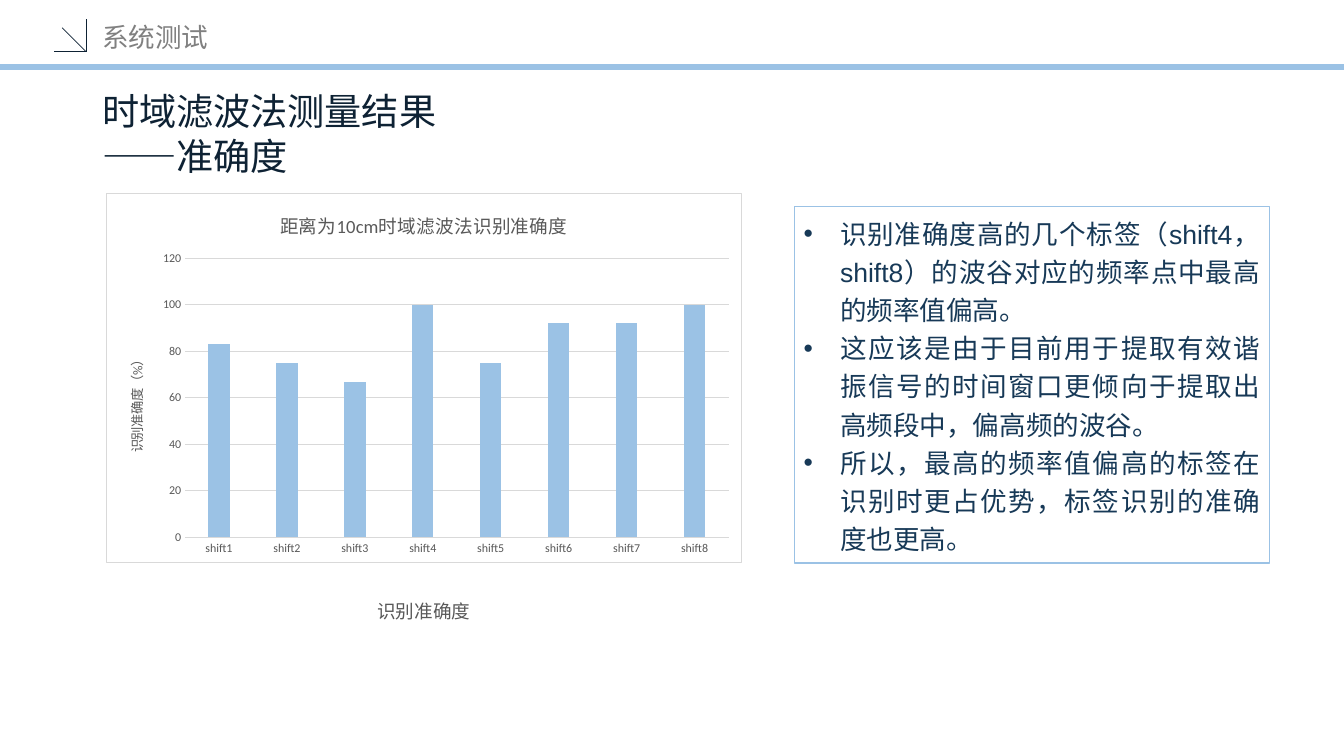
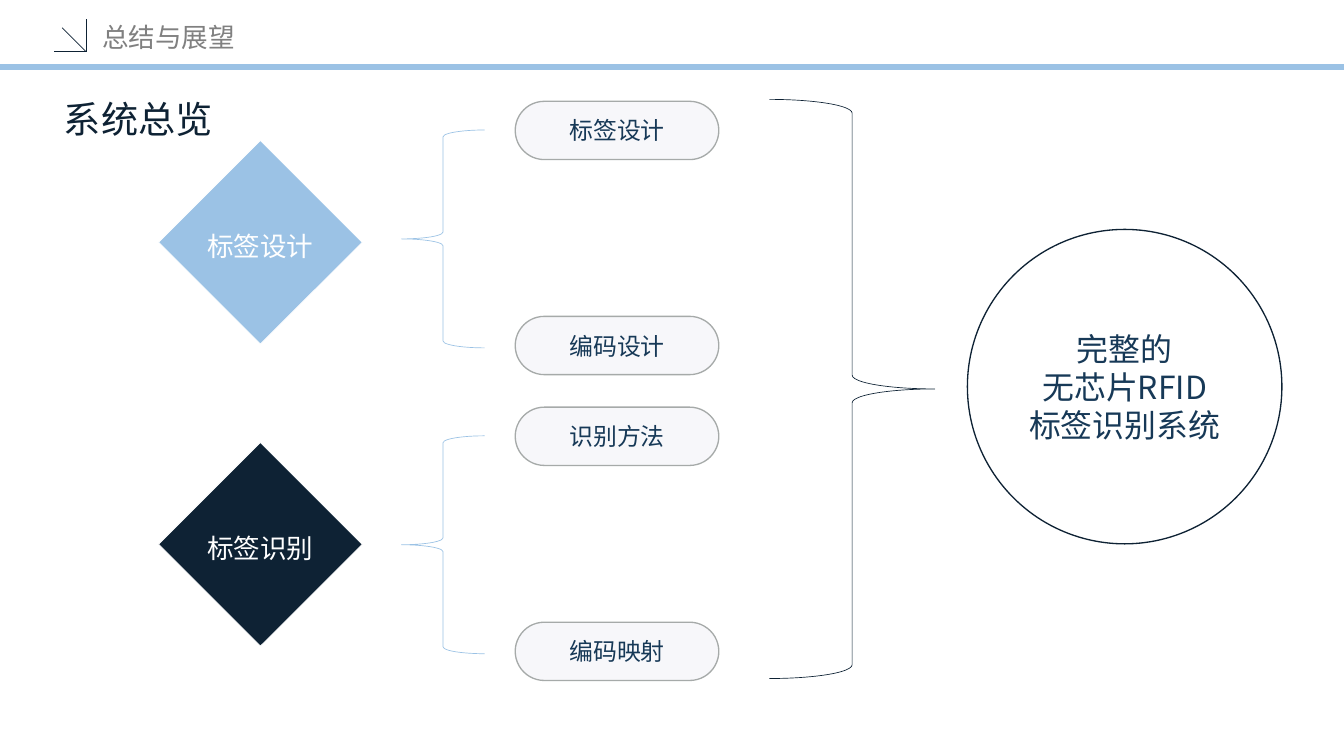
"""Build two slides on chipless tag recognition: a test result and a system overview."""
from lxml import etree
from pptx import Presentation
from pptx import util as u
from pptx.chart import data as chart_data
from pptx.dml import color
from pptx.enum import chart as chart_enum, shapes, text
from pptx.oxml import parse_xml
from pptx.oxml import ns

THEME = {
    "sky": "9BC2E5", "navy": "0E2234", "ink": "173957", "gray": "808080",
    "label": "595959", "grid": "D9D9D9", "pill": "F7F7FA",
    "pill_line": "A6AAA9", "white": "FFFFFF",
    "cjk": "Noto Sans CJK SC", "latin": "Arial", "chart": "Calibri",
}
STYLES = {
    "header": {"size": 20, "name": THEME["cjk"], "color": THEME["gray"]},
    "title": {"size": 28, "name": THEME["cjk"], "color": THEME["navy"]},
    "caption": {"size": 14, "name": THEME["latin"], "color": THEME["label"]},
    "body": {"size": 20, "name": THEME["latin"], "color": THEME["ink"]},
    "diamond": {"size": 20, "name": THEME["latin"], "color": THEME["white"]},
    "pill": {"size": 18, "name": THEME["cjk"], "color": THEME["ink"]},
    "goal": {"size": 24, "name": THEME["cjk"], "color": THEME["ink"]},
    "chart": {"size": 10, "name": THEME["chart"], "color": THEME["label"]},
    "chart_title": {"size": 14, "name": THEME["chart"], "color": THEME["label"]},
    "tick": {"size": 9, "name": THEME["chart"], "color": THEME["label"]},
}

HEADER_LINES = [
    ((0, 0.7), (14.06, 0.7), "sky", 4.5),
    ((0.57, 0.54), (0.9, 0.54), "navy", 0.5),
    ((0.9, 0.54), (0.9, 0.2), "navy", 0.5),
    ((0.9, 0.54), (0.65, 0.29), "navy", 0.5),
]
RESULT = {
    "header": "系统测试",
    "title": ["时域滤波法测量结果", "——准确度"],
    "chart_title": "距离为10cm时域滤波法识别准确度",
    "axis_title": "识别准确度（%）",
    "caption": ["识别准确度"],
    "accuracy": [83, 75, 67, 100, 75, 92, 92, 100],
    "findings": [
        "识别准确度高的几个标签（shift4，shift8）的波谷对应的频率点中最高的频率值偏高。",
        "这应该是由于目前用于提取有效谐振信号的时间窗口更倾向于提取出高频段中，偏高频的波谷。",
        "所以，最高的频率值偏高的标签在识别时更占优势，标签识别的准确度也更高。",
    ],
}
OVERVIEW = {
    "header": "总结与展望",
    "title": ["系统总览"],
    "stages": [
        {"name": "标签设计", "fill": "sky", "top": 1.06, "diamond_top": 1.47,
         "parts": ["标签设计", "编码设计"]},
        {"name": "标签识别", "fill": "navy", "top": 4.26, "diamond_top": 4.63,
         "parts": ["识别方法", "编码映射"]},
    ],
    "goal": ["完整的", "无芯片RFID", "标签识别系统"],
}
PILL_STEP = 2.25


def rgb(name):
    return color.RGBColor.from_string(THEME.get(name, name))


def set_font(font, style):
    values = {"size": u.Pt(style["size"]), "name": style["name"], "bold": False}
    for attribute, value in values.items():
        setattr(font, attribute, value)
    font.color.rgb = rgb(style["color"])


def add_bullet(paragraph):
    properties = paragraph._p.get_or_add_pPr()
    indent = u.Inches(0.38)
    properties.set("marL", str(indent))
    properties.set("indent", str(-indent))
    etree.SubElement(properties, ns.qn("a:buFont"), typeface=THEME["latin"])
    etree.SubElement(properties, ns.qn("a:buChar"), char="•")


def write(shape, lines, style, align="LEFT", anchor="TOP", spacing=None,
          wrap=True, bullets=False):
    frame = shape.text_frame
    frame.word_wrap = wrap
    frame.vertical_anchor = text.MSO_ANCHOR[anchor]
    for index, line in enumerate(lines):
        paragraph = frame.add_paragraph() if index else frame.paragraphs[0]
        if bullets:
            add_bullet(paragraph)
        paragraph.alignment = text.PP_ALIGN[align]
        paragraph.line_spacing = spacing
        run = paragraph.add_run()
        run.text = line
        set_font(run.font, STYLES[style])
        etree.SubElement(run._r.get_or_add_rPr(), ns.qn("a:ea"),
                         typeface=THEME["cjk"])


def add_text(slide, box, lines, style, **layout):
    shape = slide.shapes.add_textbox(*map(u.Inches, box))
    write(shape, lines, style, **layout)


def add_shape(slide, kind, box, fill=None, line=None, width=0.5):
    shape = slide.shapes.add_shape(shapes.MSO_SHAPE[kind], *map(u.Inches, box))
    shape.shadow.inherit = False
    if fill:
        shape.fill.solid()
        shape.fill.fore_color.rgb = rgb(fill)
    else:
        shape.fill.background()
    shape.line.color.rgb = rgb(line)
    shape.line.width = u.Pt(width)
    return shape


def add_slide(presentation, header):
    slide = presentation.slides.add_slide(presentation.slide_layouts[6])
    for start, end, line, width in HEADER_LINES:
        connector = slide.shapes.add_connector(
            shapes.MSO_CONNECTOR.STRAIGHT, *map(u.Inches, start + end))
        connector.line.color.rgb = rgb(line)
        connector.line.width = u.Pt(width)
        etree.SubElement(connector._element.spPr, ns.qn("a:effectLst"))
    add_text(slide, (0.97, 0.15, 3.23, 0.47), [header], "header", anchor="MIDDLE")
    return slide


def set_title(title, content, style):
    title.text_frame.text = content
    set_font(title.text_frame.paragraphs[0].runs[0].font, STYLES[style])


def style_line(line, name):
    line.color.rgb = rgb(name)
    line.width = u.Pt(0.75)


def add_accuracy_chart(slide, box):
    values = RESULT["accuracy"]
    data = chart_data.CategoryChartData()
    data.categories = [f"shift{number}" for number in range(1, len(values) + 1)]
    data.add_series("识别准确度", values)
    chart = slide.shapes.add_chart(
        chart_enum.XL_CHART_TYPE.COLUMN_CLUSTERED, *map(u.Inches, box), data).chart
    set_font(chart.font, STYLES["chart"])
    chart.has_legend = False
    chart.has_title = True
    set_title(chart.chart_title, RESULT["chart_title"], "chart_title")
    chart.chart_title.include_in_layout = False

    plot = chart.plots[0]
    for attribute, value in {"gap_width": 219, "overlap": -27,
                             "vary_by_categories": False}.items():
        setattr(plot, attribute, value)
    series = plot.series[0]
    series.format.fill.solid()
    series.format.fill.fore_color.rgb = rgb("sky")

    category_axis, value_axis = chart.category_axis, chart.value_axis
    for axis in (category_axis, value_axis):
        axis.major_tick_mark = chart_enum.XL_TICK_MARK.NONE
        set_font(axis.tick_labels.font, STYLES["tick"])
    style_line(category_axis.format.line, "grid")
    for attribute, value in {"minimum_scale": 0, "maximum_scale": 120,
                             "major_unit": 20, "has_major_gridlines": True,
                             "has_title": True}.items():
        setattr(value_axis, attribute, value)
    style_line(value_axis.major_gridlines.format.line, "grid")
    value_axis.format.line.fill.background()
    set_title(value_axis.axis_title, RESULT["axis_title"], "chart")

    frame = parse_xml(
        f'<c:spPr {ns.nsdecls("c", "a")}>'
        f'<a:solidFill><a:srgbClr val="{THEME["white"]}"/></a:solidFill>'
        f'<a:ln w="{u.Pt(0.75)}"><a:solidFill><a:srgbClr val="{THEME["grid"]}"/>'
        '</a:solidFill></a:ln></c:spPr>')
    chart._chartSpace.find(ns.qn("c:txPr")).addprevious(frame)


def build_result(presentation):
    slide = add_slide(presentation, RESULT["header"])
    add_text(slide, (0.97, 0.93, 4.2, 0.93), RESULT["title"], "title", anchor="MIDDLE")
    add_text(slide, (2.27, 6.18, 4.33, 0.38), RESULT["caption"], "caption",
             align="CENTER", spacing=1.2)
    findings = add_shape(slide, "RECTANGLE", (8.31, 2.16, 4.97, 3.73),
                         "white", "sky", 1)
    write(findings, RESULT["findings"], "body", align="JUSTIFY", spacing=1.2,
          bullets=True)
    add_accuracy_chart(slide, (1.11, 2.02, 6.65, 3.87))


def build_overview(presentation):
    slide = add_slide(presentation, OVERVIEW["header"])
    add_text(slide, (0.57, 0.96, 2.12, 0.57), OVERVIEW["title"], "title")
    for stage in OVERVIEW["stages"]:
        diamond = add_shape(slide, "DIAMOND", (1.66, stage["diamond_top"], 2.13, 2.13),
                            stage["fill"], "white")
        write(diamond, [stage["name"]], "diamond", align="CENTER", anchor="MIDDLE",
              spacing=1.2, wrap=False)
        add_shape(slide, "LEFT_BRACE", (4.2, stage["top"] + 0.3, 0.87, 2.28), line="sky")
        for index, part in enumerate(stage["parts"]):
            top = stage["top"] + index * PILL_STEP
            pill = add_shape(slide, "ROUNDED_RECTANGLE", (5.39, top, 2.13, 0.61),
                             "pill", "pill_line", 1)
            pill.adjustments[0] = 0.5
            write(pill, [part], "pill", align="CENTER", anchor="MIDDLE")
    add_shape(slide, "RIGHT_BRACE", (8.05, 1.04, 1.73, 6.06), line="navy")
    goal = add_shape(slide, "OVAL", (10.12, 2.4, 3.29, 3.29), "white", "navy", 1)
    write(goal, OVERVIEW["goal"], "goal", align="CENTER", anchor="MIDDLE")


def main():
    presentation = Presentation()
    presentation.slide_width = u.Inches(14.06)
    presentation.slide_height = u.Inches(7.91)
    build_result(presentation)
    build_overview(presentation)
    presentation.save("out.pptx")


if __name__ == "__main__":
    main()
